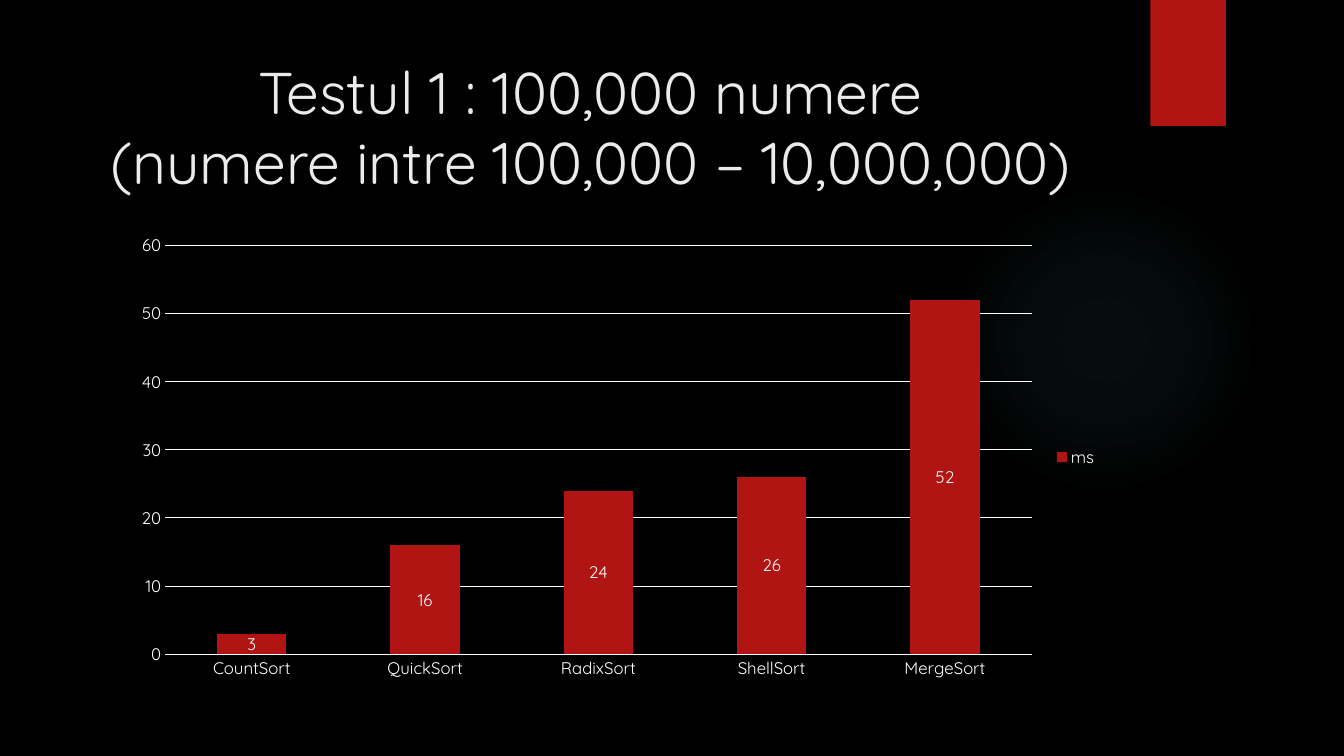
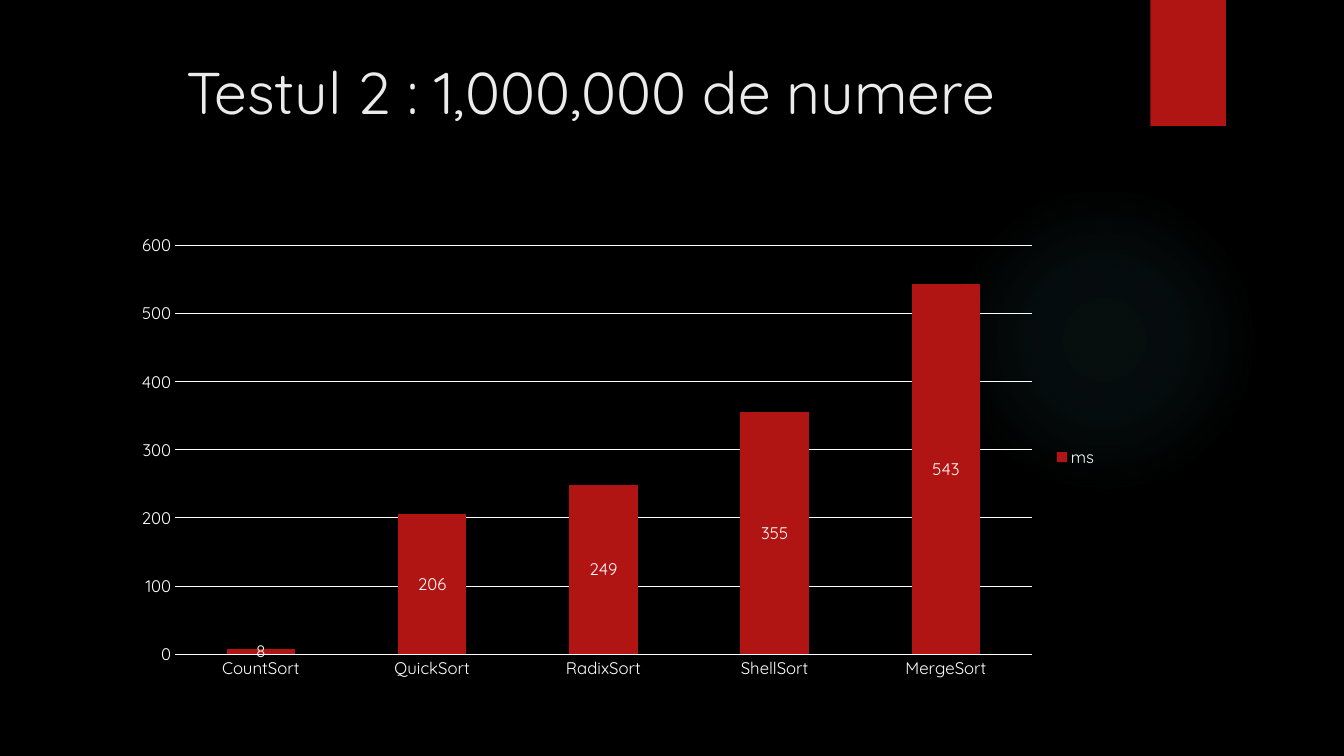
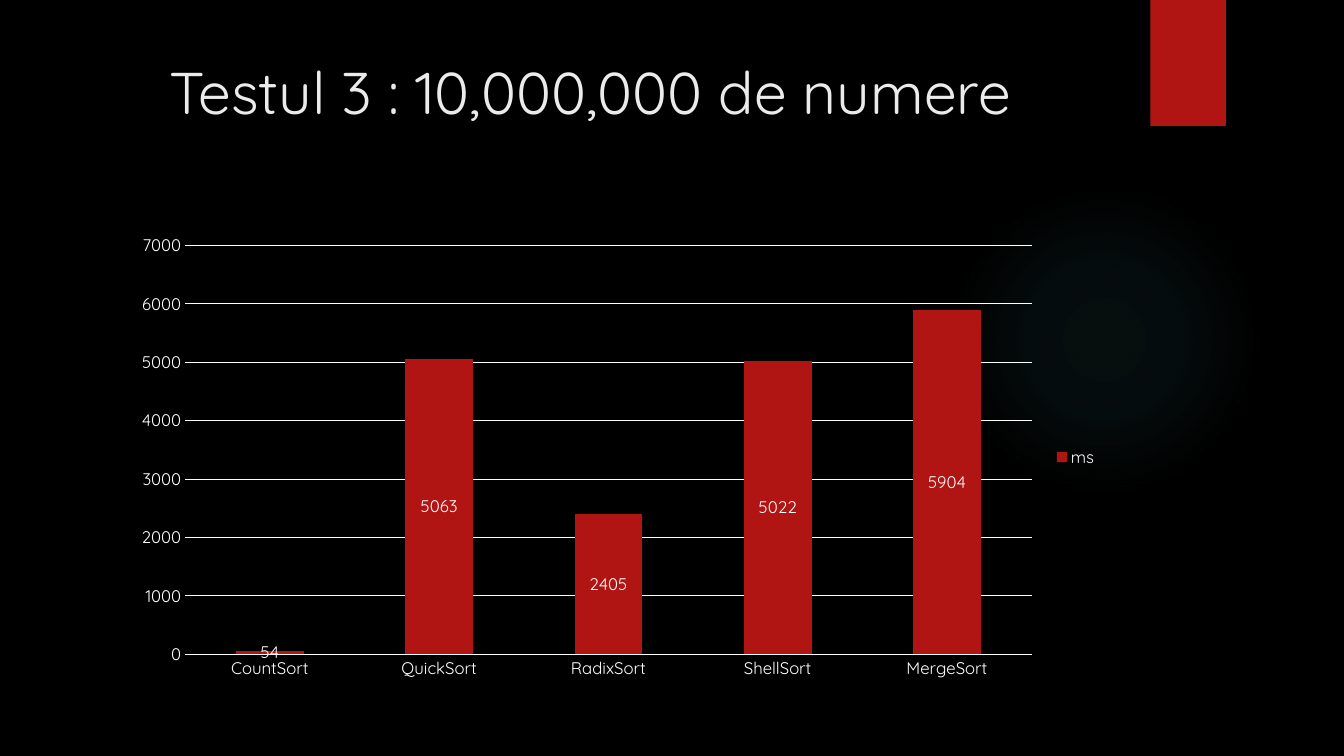
from lxml import etree
from pptx import Presentation
from pptx.chart.data import CategoryChartData
from pptx.dml.color import RGBColor
from pptx.enum.chart import XL_CHART_TYPE as ChartType
from pptx.enum.chart import XL_LABEL_POSITION as LabelPosition
from pptx.enum.chart import XL_LEGEND_POSITION as LegendPosition
from pptx.enum.chart import XL_TICK_MARK as TickMark
from pptx.enum.shapes import MSO_SHAPE as Shape
from pptx.enum.text import MSO_ANCHOR as Anchor
from pptx.enum.text import PP_ALIGN as Align
from pptx.oxml import parse_xml
from pptx.oxml.ns import nsdecls, qn
from pptx.util import Inches, Pt

BLACK = RGBColor(0x00, 0x00, 0x00)
WHITE = RGBColor(0xFF, 0xFF, 0xFF)
RED = RGBColor(0xB0, 0x15, 0x13)
TEAL = RGBColor(0x50, 0xB9, 0xC1)
TITLE_GREY = RGBColor(0xEB, 0xEB, 0xEB)

FONT = "Quicksand"
TITLE_FORMAT = {"name": FONT, "size": Pt(42)}
CHART_FORMAT = {"name": FONT, "size": Pt(12)}
AXIS_FORMAT = {"major_tick_mark": TickMark.NONE, "minor_tick_mark": TickMark.NONE}
LABEL_FORMAT = {"show_value": True, "position": LabelPosition.CENTER}
LEGEND_FORMAT = {"position": LegendPosition.RIGHT, "include_in_layout": False}
FRAME_FORMAT = {"word_wrap": True, "vertical_anchor": Anchor.TOP}

GLOW_STOPS = [(0, 7), (36, 6), (69, 0)]  # position and opacity, in percent

SORTS = ["CountSort", "QuickSort", "RadixSort", "ShellSort", "MergeSort"]
TESTS = [
    ("Testul 1 : 100,000 numere\n(numere intre 100,000 – 10,000,000)", [3, 16, 24, 26, 52]),
    ("Testul 2 : 1,000,000 de numere", [8, 206, 249, 355, 543]),
    ("Testul 3 : 10,000,000 de numere", [54, 5063, 2405, 5022, 5904]),
]


def apply_format(target, values):
    for name, value in values.items():
        setattr(target, name, value)


def apply_font(font, values, color):
    apply_format(font, values)
    font.color.rgb = color


def draw_line(line, color):
    line.color.rgb = color
    line.width = Pt(0.75)


class Deck:
    def __init__(self):
        self.presentation = Presentation()
        self.presentation.slide_width = Inches(13.33)
        self.presentation.slide_height = Inches(7.5)
        self.slide = None

    def add_slide(self):
        blank_layout = self.presentation.slide_layouts[6]
        self.slide = self.presentation.slides.add_slide(blank_layout)
        background = self.slide.background.fill
        background.solid()
        background.fore_color.rgb = BLACK
        self.add_glow()
        self.add_ribbon()

    def add_plain_shape(self, kind, left, top, width, height):
        shape = self.slide.shapes.add_shape(
            kind, Inches(left), Inches(top), Inches(width), Inches(height))
        shape.shadow.inherit = False
        shape.line.fill.background()
        return shape

    def add_glow(self):
        shape = self.add_plain_shape(Shape.OVAL, 9.41, 1.83, 3.08, 3.08)
        shape.fill.background()
        gradient = parse_xml(
            f'<a:gradFill {nsdecls("a")} rotWithShape="1"><a:gsLst/>'
            '<a:path path="circle">'
            '<a:fillToRect l="50000" t="50000" r="50000" b="50000"/>'
            '</a:path></a:gradFill>')
        for position, opacity in GLOW_STOPS:
            stop = etree.SubElement(gradient[0], qn("a:gs"), pos=str(position * 1000))
            color = etree.SubElement(stop, qn("a:srgbClr"), val=str(TEAL))
            etree.SubElement(color, qn("a:alpha"), val=str(opacity * 1000))
        properties = shape._element.spPr
        properties.replace(properties.find(qn("a:noFill")), gradient)

    def add_ribbon(self):
        shape = self.add_plain_shape(Shape.RECTANGLE, 11.41, 0, 0.75, 1.25)
        shape.fill.solid()
        shape.fill.fore_color.rgb = RED

    def add_title(self, text):
        box = self.slide.shapes.add_textbox(
            Inches(0.71), Inches(0.5), Inches(10.29), Inches(1.53))
        apply_format(box.text_frame, FRAME_FORMAT)
        paragraph = box.text_frame.paragraphs[0]
        paragraph.text = text
        paragraph.alignment = Align.CENTER
        for run in paragraph.runs:
            apply_font(run.font, TITLE_FORMAT, TITLE_GREY)

    def add_column_chart(self, categories, series_name, values):
        data = CategoryChartData()
        data.categories = categories
        data.add_series(series_name, values)
        chart = self.slide.shapes.add_chart(
            ChartType.COLUMN_STACKED, Inches(1.21), Inches(2.24),
            Inches(9.78), Inches(4.59), data).chart
        chart.has_title = False
        apply_font(chart.font, CHART_FORMAT, WHITE)

        # Legend
        chart.has_legend = True
        apply_format(chart.legend, LEGEND_FORMAT)
        apply_font(chart.legend.font, CHART_FORMAT, WHITE)

        # Axes
        for axis in (chart.category_axis, chart.value_axis):
            apply_format(axis, AXIS_FORMAT)
            apply_font(axis.tick_labels.font, CHART_FORMAT, WHITE)
        draw_line(chart.category_axis.format.line, WHITE)
        chart.value_axis.format.line.fill.background()
        draw_line(chart.value_axis.major_gridlines.format.line, WHITE)

        # Columns and their labels
        plot = chart.plots[0]
        apply_format(plot, {"gap_width": 150, "overlap": 100, "vary_by_categories": False})
        series = plot.series[0]
        series.format.fill.solid()
        series.format.fill.fore_color.rgb = RED
        apply_format(series.data_labels, LABEL_FORMAT)
        apply_font(series.data_labels.font, CHART_FORMAT, WHITE)


def main():
    deck = Deck()
    for title, times in TESTS:
        deck.add_slide()
        deck.add_title(title)
        deck.add_column_chart(SORTS, "ms", times)
    deck.presentation.save("out.pptx")


if __name__ == "__main__":
    main()
